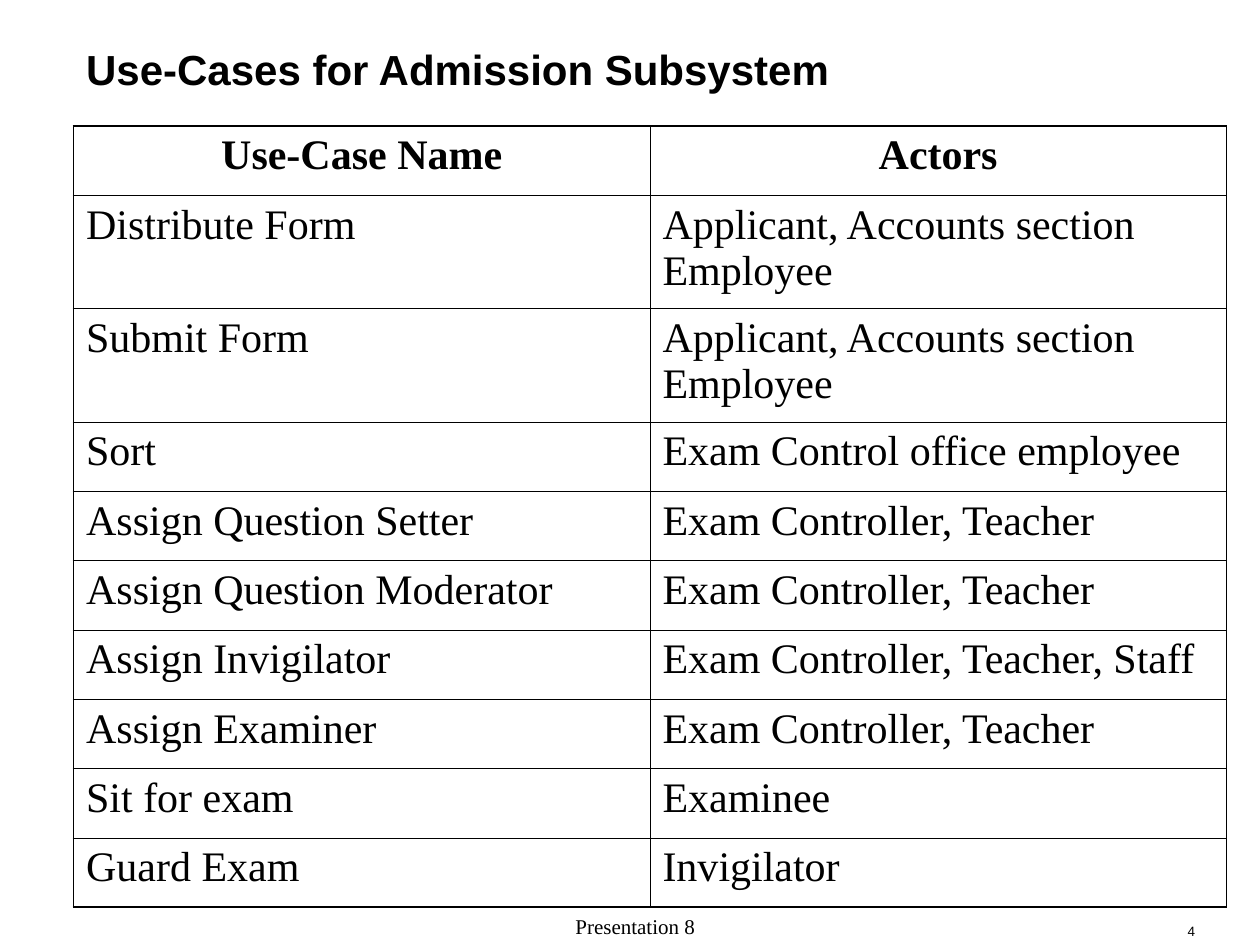
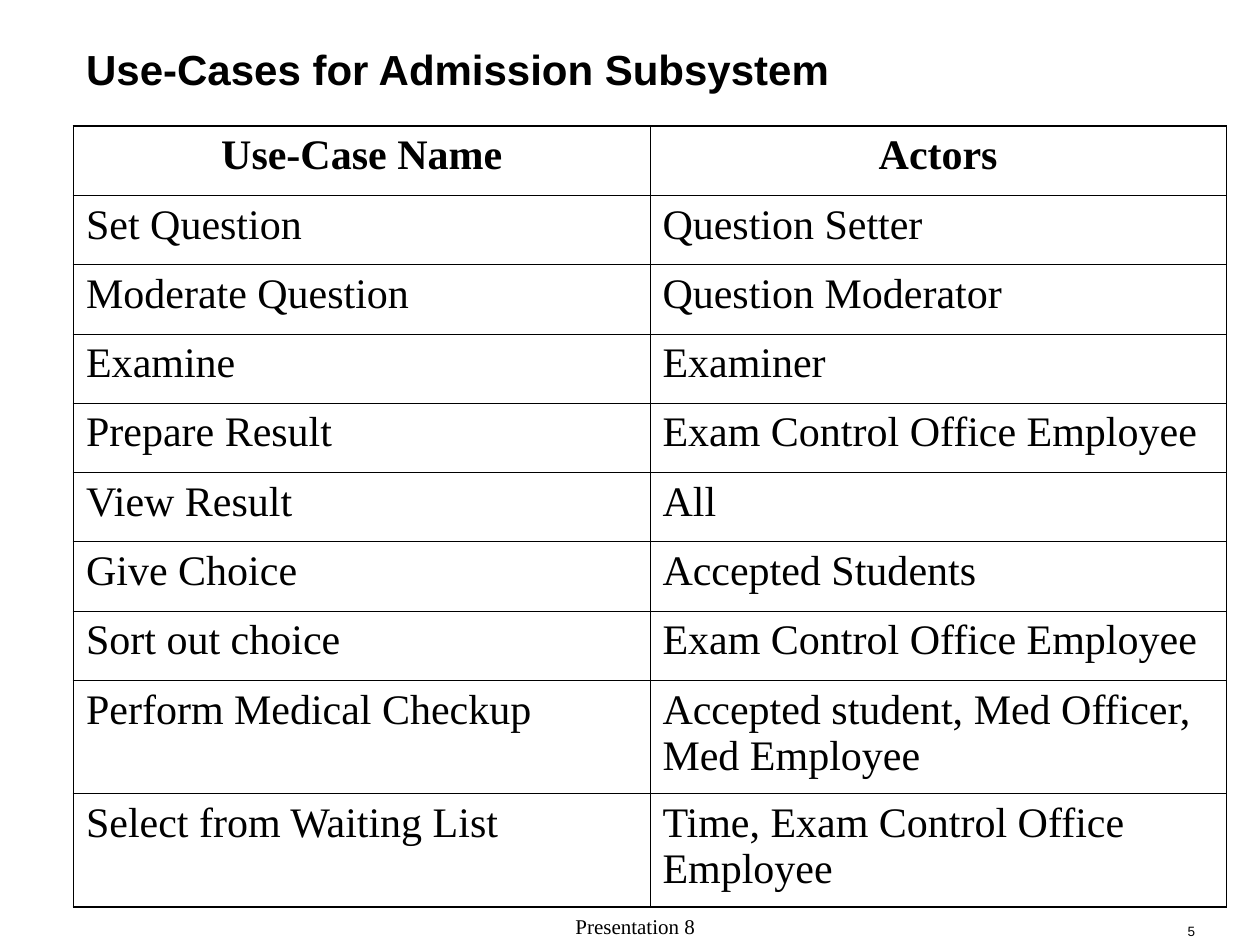
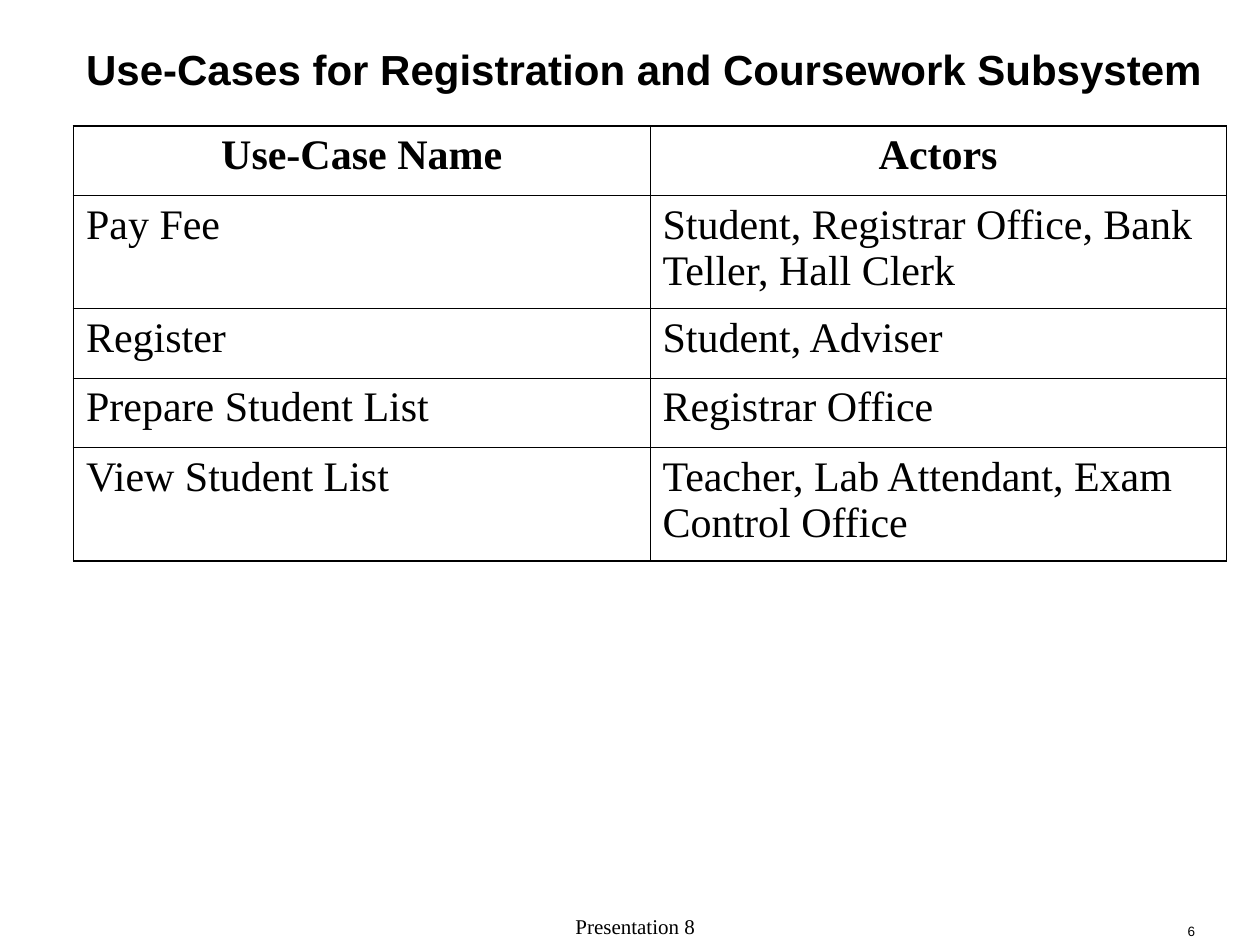
from dataclasses import dataclass
from typing import NamedTuple

import lxml.etree
import pptx
import pptx.dml.color
import pptx.enum.text
import pptx.oxml.ns
import pptx.util

EMU_PER_PX = 7620  # 120 px to the inch
ALIGN = pptx.enum.text.PP_ALIGN
ANCHOR = pptx.enum.text.MSO_ANCHOR


class Box(NamedTuple):
    left: int
    top: int
    width: int
    height: int


class TextStyle(NamedTuple):
    font: str
    size: float
    bold: bool = False
    align: ALIGN = ALIGN.LEFT
    line_spacing: float | None = None


@dataclass(frozen=True)
class Theme:
    ink: str = "000000"
    title: TextStyle = TextStyle("Arial", 24, bold=True)
    header: TextStyle = TextStyle("Times New Roman", 24, bold=True, align=ALIGN.CENTER)
    cell: TextStyle = TextStyle("Times New Roman", 24)
    footer: TextStyle = TextStyle("Times New Roman", 12, align=ALIGN.CENTER)
    number: TextStyle = TextStyle("Arial", 7.7, align=ALIGN.RIGHT, line_spacing=0.8)
    outer_line: float = 1.08
    inner_line: float = 0.45


class UseCase(NamedTuple):
    name: str
    actors: str
    lines: int = 1


class UseCaseSlide(NamedTuple):
    title: str
    use_cases: list[UseCase]


THEME = Theme()
SLIDE = Box(0, 0, 1200, 900)
TITLE = Box(70, 30, 1130, 70)
FOOTER = Box(410, 870, 390, 30)
NUMBER = Box(1010, 870, 140, 30)
TABLE_LEFT, TABLE_TOP, COLUMN_WIDTH = 70, 120, 549
ROW_HEIGHT, EXTRA_LINE = 66, 42
FIRST_NUMBER = 4
HEADER = UseCase("Use-Case Name", "Actors")

SLIDES = [
    UseCaseSlide("Use-Cases for Admission Subsystem", [
        UseCase("Distribute Form", "Applicant, Accounts section Employee", 2),
        UseCase("Submit Form", "Applicant, Accounts section Employee", 2),
        UseCase("Sort", "Exam Control office employee"),
        UseCase("Assign Question Setter", "Exam Controller, Teacher"),
        UseCase("Assign Question Moderator", "Exam Controller, Teacher"),
        UseCase("Assign Invigilator", "Exam Controller, Teacher, Staff"),
        UseCase("Assign Examiner", "Exam Controller, Teacher"),
        UseCase("Sit for exam", "Examinee"),
        UseCase("Guard Exam", "Invigilator"),
    ]),
    UseCaseSlide("Use-Cases for Admission Subsystem", [
        UseCase("Set Question", "Question Setter"),
        UseCase("Moderate Question", "Question Moderator"),
        UseCase("Examine", "Examiner"),
        UseCase("Prepare Result", "Exam Control Office Employee"),
        UseCase("View Result", "All"),
        UseCase("Give Choice", "Accepted Students"),
        UseCase("Sort out choice", "Exam Control Office Employee"),
        UseCase("Perform Medical Checkup", "Accepted student, Med Officer, Med Employee", 2),
        UseCase("Select from Waiting List", "Time, Exam Control Office Employee", 2),
    ]),
    UseCaseSlide("Use-Cases for Registration and Coursework Subsystem", [
        UseCase("Pay Fee", "Student, Registrar Office, Bank Teller, Hall Clerk", 2),
        UseCase("Register", "Student, Adviser"),
        UseCase("Prepare Student List", "Registrar Office"),
        UseCase("View Student List", "Teacher, Lab Attendant, Exam Control Office", 2),
    ]),
]


def px(length: int) -> pptx.util.Emu:
    return pptx.util.Emu(length * EMU_PER_PX)


def emu(box: Box) -> list[pptx.util.Emu]:
    return [px(length) for length in box]


def write(tf, text: str, style: TextStyle) -> None:
    tf.text = text
    p = tf.paragraphs[0]
    p.alignment = style.align
    if style.line_spacing:
        p.line_spacing = style.line_spacing
    p.font.name = style.font
    p.font.size = pptx.util.Pt(style.size)
    p.font.bold = style.bold
    p.font.color.rgb = pptx.dml.color.RGBColor.from_string(THEME.ink)


def add_text(slide, box: Box, text: str, style: TextStyle):
    sp = slide.shapes.add_textbox(*emu(box))
    tf = sp.text_frame
    tf.word_wrap = True
    tf.vertical_anchor = ANCHOR.BOTTOM
    write(tf, text, style)
    return sp


def set_title(slide, text: str) -> None:
    sp = slide.shapes.title
    sp.left, sp.top, sp.width, sp.height = emu(TITLE)
    tf = sp.text_frame
    tf.auto_size = pptx.enum.text.MSO_AUTO_SIZE.NONE
    tf.vertical_anchor = ANCHOR.MIDDLE
    write(tf, text, THEME.title)


def set_borders(cell, outer_sides: dict[str, bool]) -> None:
    """Line all four sides, heavier where the side is on the table's edge."""
    qn = pptx.oxml.ns.qn
    tc_pr = cell._tc.get_or_add_tcPr()
    for side, outer in outer_sides.items():
        width = pptx.util.Pt(THEME.outer_line if outer else THEME.inner_line)
        ln = lxml.etree.SubElement(tc_pr, qn(f"a:ln{side}"), w=str(int(width)))
        fill = lxml.etree.SubElement(ln, qn("a:solidFill"))
        lxml.etree.SubElement(fill, qn("a:srgbClr"), val=THEME.ink)


def add_use_case_table(slide, use_cases: list[UseCase]) -> None:
    rows = [HEADER, *use_cases]
    heights = [ROW_HEIGHT + EXTRA_LINE * (row.lines - 1) for row in rows]
    box = Box(TABLE_LEFT, TABLE_TOP, 2 * COLUMN_WIDTH, sum(heights))
    table = slide.shapes.add_table(len(rows), 2, *emu(box)).table
    table.first_row = table.horz_banding = False
    for column in table.columns:
        column.width = px(COLUMN_WIDTH)
    for i, (row, height) in enumerate(zip(rows, heights)):
        table.rows[i].height = px(height)
        for j, text in enumerate((row.name, row.actors)):
            cell = table.cell(i, j)
            set_borders(cell, {"L": j == 0, "R": j == 1,
                               "T": i == 0, "B": i == len(rows) - 1})
            cell.fill.background()
            write(cell.text_frame, text, THEME.cell if i else THEME.header)


def share_footer(slide) -> None:
    """Put the footer on the slide's layout, in place of the layout's own footers."""
    layout = slide.slide_layout
    for sp in list(layout.placeholders)[1:]:
        layout.shapes.element.remove(sp.element)
    footer = add_text(slide, FOOTER, "Presentation 8", THEME.footer)
    layout.shapes.element.append(footer.element)


def main() -> None:
    prs = pptx.Presentation()
    prs.slide_width, prs.slide_height = px(SLIDE.width), px(SLIDE.height)
    layout = prs.slide_layouts.get_by_name("Title Only")
    for number, content in enumerate(SLIDES, FIRST_NUMBER):
        slide = prs.slides.add_slide(layout)
        if number == FIRST_NUMBER:
            share_footer(slide)
        add_text(slide, NUMBER, str(number), THEME.number)
        set_title(slide, content.title)
        add_use_case_table(slide, content.use_cases)
    prs.save("out.pptx")


if __name__ == "__main__":
    main()
